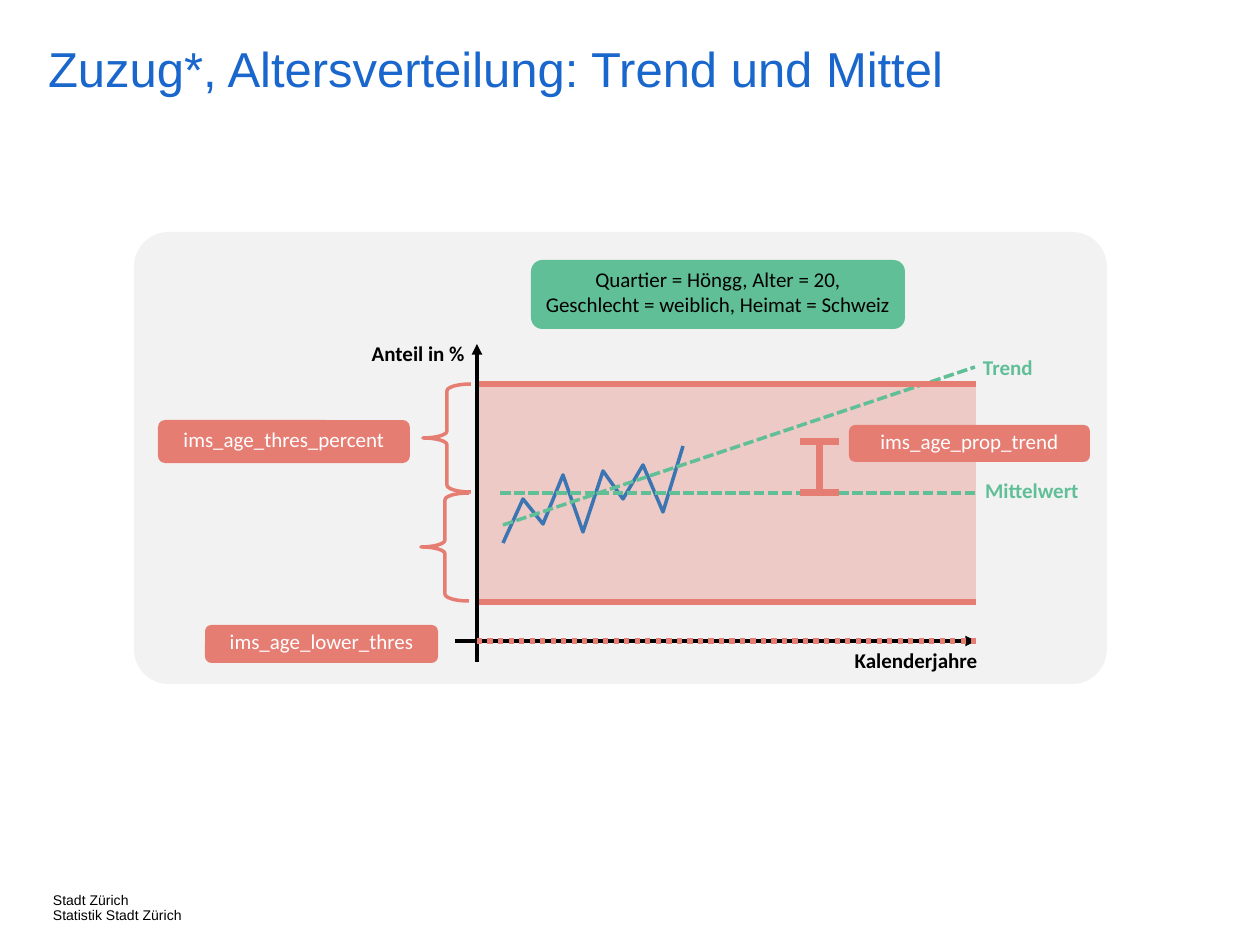
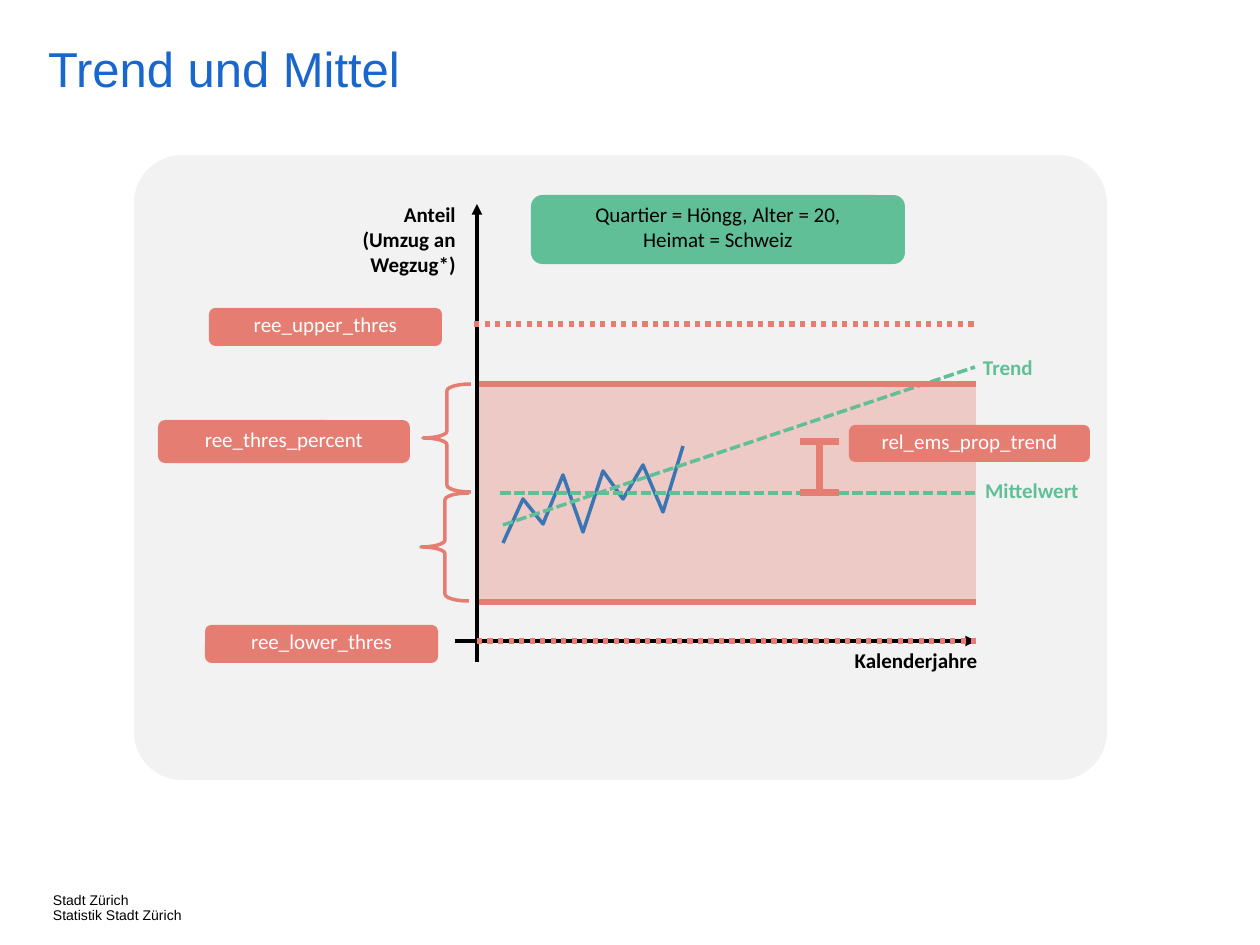
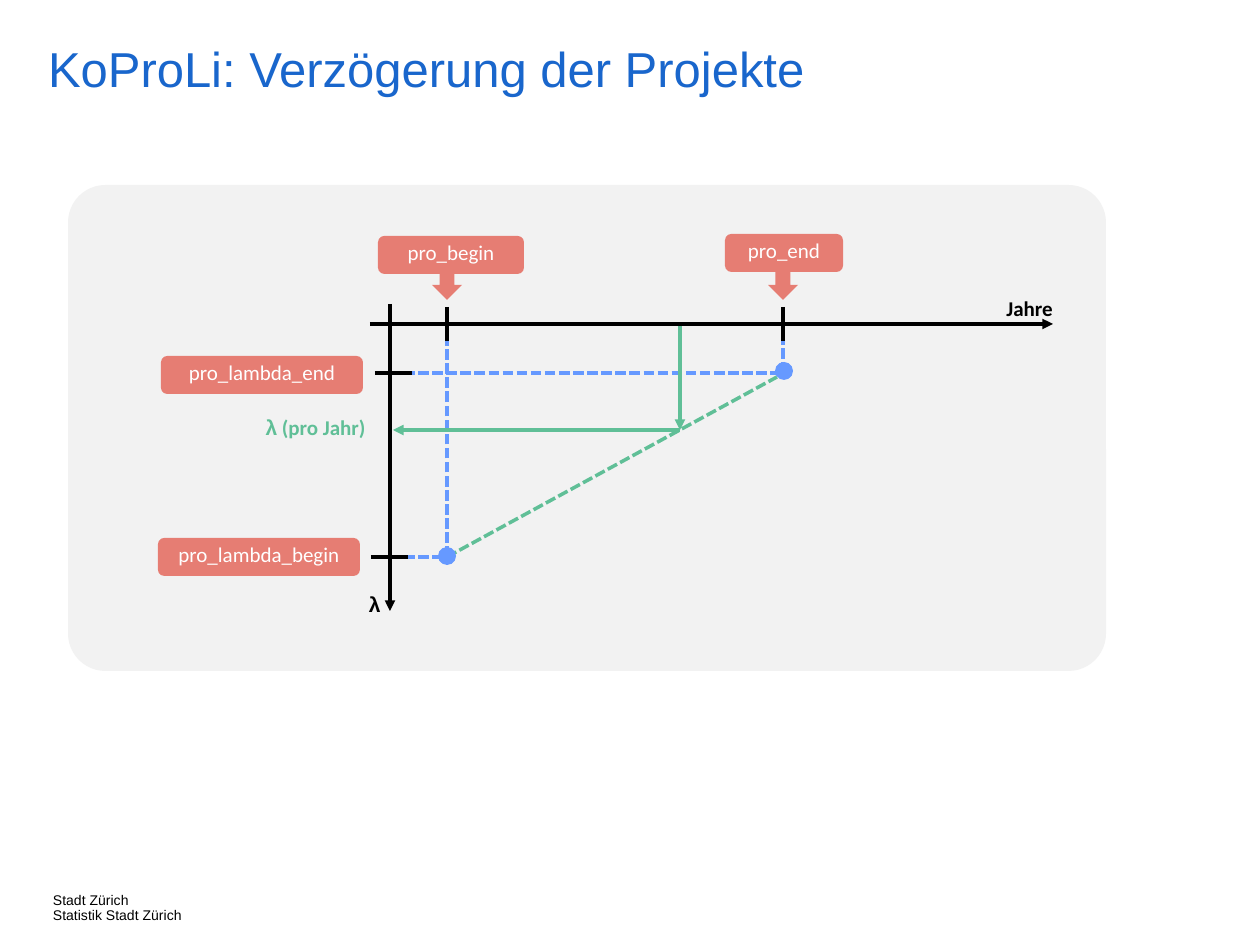
"""Builds three slides that explain the parameters of trend, mean and project delay."""
import dataclasses

import pptx
import pptx.dml.color
import pptx.enum.dml
import pptx.enum.shapes
import pptx.enum.text
import pptx.oxml.ns
import pptx.oxml.xmlchemy
import pptx.util
from lxml import etree

PX = 914400 / 126
rgb = pptx.dml.color.RGBColor.from_string
qn = pptx.oxml.ns.qn
SHAPE = pptx.enum.shapes.MSO_SHAPE
ALIGN = pptx.enum.text.PP_ALIGN
ANCHOR = pptx.enum.text.MSO_ANCHOR
DASHED = pptx.enum.dml.MSO_LINE.SQUARE_DOT
DOTTED = pptx.enum.dml.MSO_LINE.ROUND_DOT


@dataclasses.dataclass(frozen=True)
class Theme:
    title: str = "1966CC"
    panel: str = "F2F2F2"
    parameter: str = "E67D73"
    trend: str = "60BF97"
    series: str = "3B76B3"
    guide: str = "6699FF"
    ink: str = "000000"
    paper: str = "FFFFFF"
    heading_font: str = "Arial"
    label_font: str = "Calibri"
    title_size: int = 28
    label_size: int = 12
    footer_size: int = 8


theme = Theme()


def add_line(slide, start, end, color, width=2, dash=None, arrow=False):
    line = slide.shapes.add_connector(
        pptx.enum.shapes.MSO_CONNECTOR.STRAIGHT, *[round(v * PX) for v in (*start, *end)])
    line.line.color.rgb = rgb(color)
    line.line.width = pptx.util.Pt(width)
    if dash:
        line.line.dash_style = dash
    properties = line.element.spPr
    if arrow:
        etree.SubElement(properties.find(qn("a:ln")), qn("a:tailEnd"), type="triangle")
    etree.SubElement(properties, qn("a:effectLst"))


def add_block(slide, outline, at, fill=None, text="", color=theme.paper, bold=False,
              align=ALIGN.CENTER, font=theme.label_font, size=theme.label_size):
    box = [round(v * PX) for v in at]
    if outline is None:
        block = slide.shapes.add_textbox(*box)
    else:
        block = slide.shapes.add_shape(outline, *box)
        block.shadow.inherit = False
        block.line.fill.background()
        block.fill.background()
    if fill:
        block.fill.solid()
        block.fill.fore_color.rgb = rgb(fill)
    if text:
        frame = block.text_frame
        frame.word_wrap = True
        frame.text = text
        if outline is not None:
            frame.vertical_anchor = ANCHOR.MIDDLE
            frame.margin_left = frame.margin_right = frame.margin_top = 0
            frame.margin_bottom = round(5 * PX)
        for paragraph in frame.paragraphs:
            paragraph.alignment = align
            for run in paragraph.runs:
                run.font.name = font
                run.font.size = pptx.util.Pt(size)
                run.font.bold = bold
                run.font.color.rgb = rgb(color)
    return block


deck = pptx.Presentation()
deck.slide_width = round(1260 * PX)
deck.slide_height = round(945 * PX)

pages = []
for heading, heading_width, panel_at in [
    ("Zuzug*, Altersverteilung: Trend und Mittel", 1138, (134, 232, 973, 452)),
    ("Trend und Mittel", 1138, (134, 155, 973, 625)),
    ("KoProLi: Verzögerung der Projekte", 1058, (68, 185, 1038, 486)),
]:
    page = deck.slides.add_slide(deck.slide_layouts[5])
    pages.append(page)
    title = page.shapes.title
    title.left, title.top, title.width, title.height = [
        round(v * PX) for v in (48, 45, heading_width, 81)]
    title.text_frame.text = heading
    title.text_frame.vertical_anchor = ANCHOR.TOP
    title_line = title.text_frame.paragraphs[0]
    title_line.alignment = ALIGN.LEFT
    title_font = title_line.runs[0].font
    title_font.name = theme.heading_font
    title_font.size = pptx.util.Pt(theme.title_size)
    title_font.color.rgb = rgb(theme.title)

    sender = add_block(page, None, (53, 893, 165, 25), text="Stadt Zürich\nStatistik Stadt Zürich",
                       color=theme.ink, align=ALIGN.LEFT, font=theme.heading_font,
                       size=theme.footer_size)
    sender.text_frame.word_wrap = False
    for frame in (title.text_frame, sender.text_frame):
        frame.margin_left = frame.margin_right = frame.margin_top = frame.margin_bottom = 0
        for paragraph in frame.paragraphs:
            paragraph.line_spacing = 0.9

    panel = add_block(page, SHAPE.ROUNDED_RECTANGLE, panel_at, theme.panel)
    panel.adjustments[0] = 0.077

share_values = [543, 499, 524, 475, 532, 471, 499, 465, 512, 446]
share_points = [(503 + 20 * year, value) for year, value in enumerate(share_values)]
mean_y, upper_y, lower_y, axis_y = 493, 384, 602, 641

trend_pages = [
    (pages[0], 344, "Anteil in %", (321, 334, 156, 38), 260,
     "Quartier = Höngg, Alter = 20,\nGeschlecht = weiblich, Heimat = Schweiz",
     "ims_age_thres_percent", "ims_age_prop_trend", "ims_age_lower_thres"),
    (pages[1], 204, "Anteil\n(Umzug an Wegzug*)", (312, 195, 156, 90), 195,
     "Quartier = Höngg, Alter = 20,\nHeimat = Schweiz",
     "ree_thres_percent", "rel_ems_prop_trend", "ree_lower_thres"),
]
for page, axis_top, share, share_at, case_y, case, percent, proportion, lower in trend_pages:
    band = add_block(page, SHAPE.RECTANGLE, (476, upper_y, 500, lower_y - upper_y), theme.parameter)
    band_color = band.element.spPr.find(qn("a:solidFill")).find(qn("a:srgbClr"))
    etree.SubElement(band_color, qn("a:alpha"), val="34000")
    add_line(page, (455, axis_y), (976, axis_y), theme.ink, arrow=True)

    builder = page.shapes.build_freeform(*share_points[0], scale=PX)
    builder.add_line_segments(share_points[1:], close=False)
    series = builder.convert_to_shape()
    series.shadow.inherit = False
    series.fill.background()
    series.line.color.rgb = rgb(theme.series)
    series.line.width = pptx.util.Pt(2)

    add_line(page, (500, mean_y), (976, mean_y), theme.trend, dash=DASHED)
    add_line(page, (503, 525), (975, 367), theme.trend, dash=DASHED)

    for brace_x, brace_y in [(423, upper_y), (421, mean_y)]:
        brace = add_block(page, SHAPE.LEFT_BRACE, (brace_x, brace_y, 48, 108))
        brace.adjustments[0] = 0.142
        brace.line.color.rgb = rgb(theme.parameter)
        brace.line.width = pptx.util.Pt(2)
    for bound_y in (lower_y, upper_y):
        add_line(page, (476, bound_y), (976, bound_y), theme.parameter, 3)
    add_line(page, (477, 662), (477, axis_top), theme.ink, arrow=True)

    add_line(page, (820, 442), (820, mean_y), theme.parameter, 4)
    for cap_y in (442, mean_y):
        add_line(page, (800, cap_y), (839, cap_y), theme.parameter, 4)
    add_line(page, (477, axis_y), (977, axis_y), theme.parameter, 3, DOTTED)

    for text, at, color, align in [
        ("Kalenderjahre", (838, 641, 156, 38), theme.ink, ALIGN.CENTER),
        ("Mittelwert", (935, 471, 156, 38), theme.trend, ALIGN.RIGHT),
        ("Trend", (964, 348, 81, 38), theme.trend, ALIGN.RIGHT),
        (share, share_at, theme.ink, ALIGN.RIGHT),
    ]:
        add_block(page, None, at, text=text, color=color, bold=True, align=align)

    for parameter, at in [
        (percent, (158, 420, 252, 43)),
        (proportion, (849, 425, 241, 37)),
        (lower, (205, 625, 233, 38)),
    ]:
        add_block(page, SHAPE.ROUNDED_RECTANGLE, at, theme.parameter, parameter)
    add_block(page, SHAPE.ROUNDED_RECTANGLE, (531, case_y, 374, 69), theme.trend, case, theme.ink)

add_line(pages[1], (474, 324), (974, 324), theme.parameter, 3, DOTTED)
add_block(pages[1], SHAPE.ROUNDED_RECTANGLE, (209, 308, 233, 38), theme.parameter,
          "ree_upper_thres")

delay = pages[2]
begin_x, end_x, year_x, lambda_x = 447, 783, 680, 390
years_y, lambda_end_y, lambda_year_y, lambda_begin_y = 324, 373, 430, 557

add_line(delay, (lambda_x, 304), (lambda_x, 611), theme.ink, arrow=True)
add_line(delay, (begin_x, lambda_begin_y), (777, 377), theme.trend, dash=DASHED)
for dot_at in [(438, 547, 18, 18), (775, 362, 18, 18)]:
    add_block(delay, SHAPE.OVAL, dot_at, theme.guide)
for x, y in [(end_x, lambda_end_y), (begin_x, lambda_begin_y)]:
    add_line(delay, (lambda_x, y), (x, y), theme.guide, dash=DASHED)
    add_line(delay, (x, y), (x, years_y), theme.guide, dash=DASHED)
for tick_x, tick_y in [(375, lambda_end_y), (371, lambda_begin_y)]:
    add_line(delay, (tick_x, tick_y), (tick_x + 37, tick_y), theme.ink)
for tick_x in (end_x, begin_x):
    add_line(delay, (tick_x, 307), (tick_x, 341), theme.ink)
add_line(delay, (year_x, years_y), (year_x, lambda_year_y), theme.trend, arrow=True)
add_line(delay, (370, years_y), (1053, years_y), theme.ink, arrow=True)
add_line(delay, (year_x, lambda_year_y), (393, lambda_year_y), theme.trend, arrow=True)

add_block(delay, None, (968, 289, 123, 38), text="Jahre", color=theme.ink, bold=True)
add_block(delay, None, (334, 585, 59, 38), text="λ", color=theme.ink, bold=True,
          align=ALIGN.RIGHT, font=theme.heading_font)
yearly_lambda = add_block(delay, None, (68, 408, 310, 38), text="λ", color=theme.trend,
                          bold=True, align=ALIGN.RIGHT, font=theme.heading_font)
per_year = yearly_lambda.text_frame.paragraphs[0].add_run()
per_year.text = " (pro Jahr)"
per_year.font.name = theme.label_font
per_year.font.size = pptx.util.Pt(theme.label_size)
per_year.font.bold = True
per_year.font.color.rgb = rgb(theme.trend)

for pointer_x in (begin_x, end_x):
    add_block(delay, SHAPE.DOWN_ARROW, (pointer_x - 15, 265, 30, 35), theme.parameter)
for parameter, at in [
    ("pro_begin", (378, 236, 146, 38)),
    ("pro_end", (725, 234, 118, 38)),
    ("pro_lambda_end", (161, 356, 202, 38)),
    ("pro_lambda_begin", (158, 538, 202, 38)),
]:
    add_block(delay, SHAPE.ROUNDED_RECTANGLE, at, theme.parameter, parameter)

deck.save("out.pptx")
